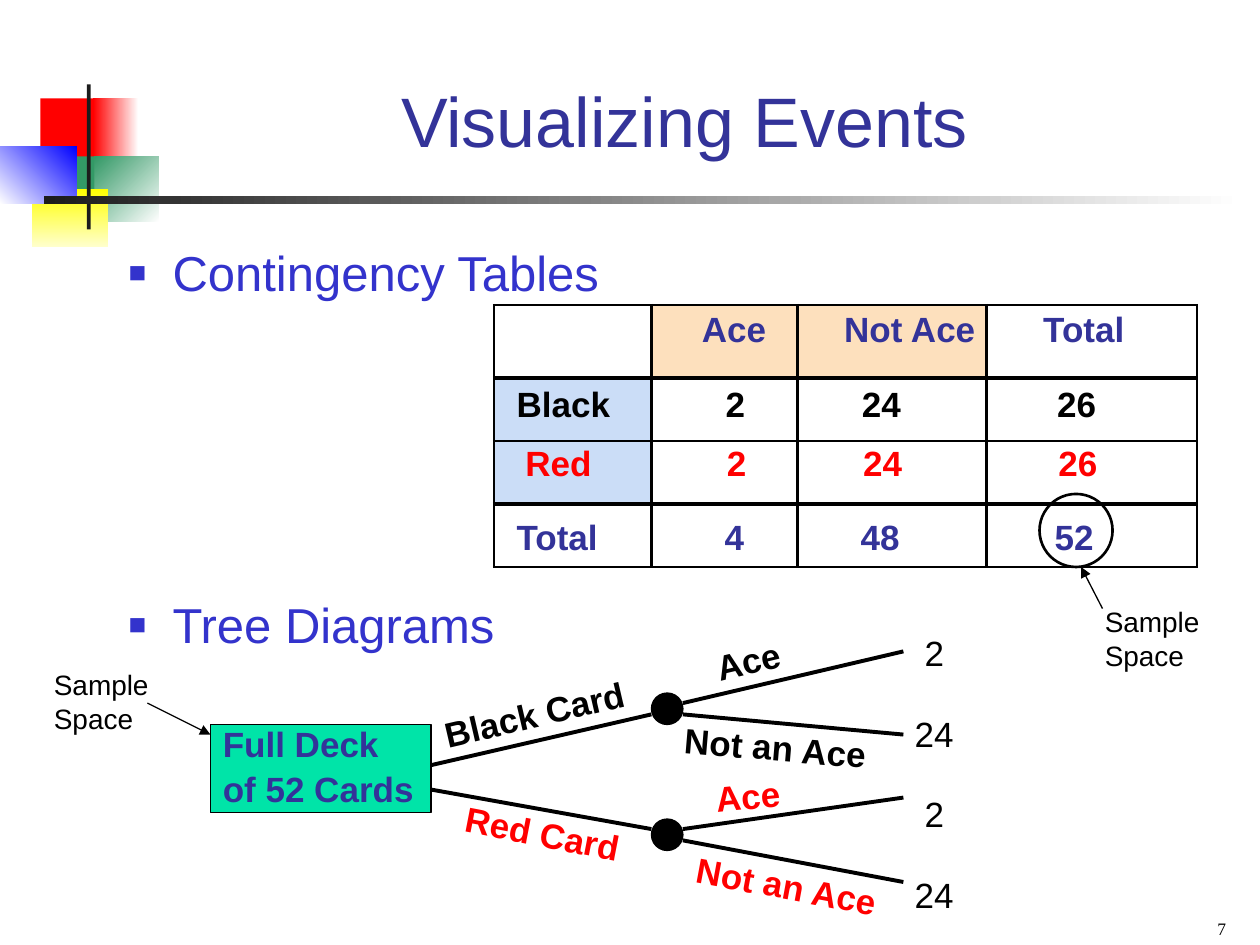
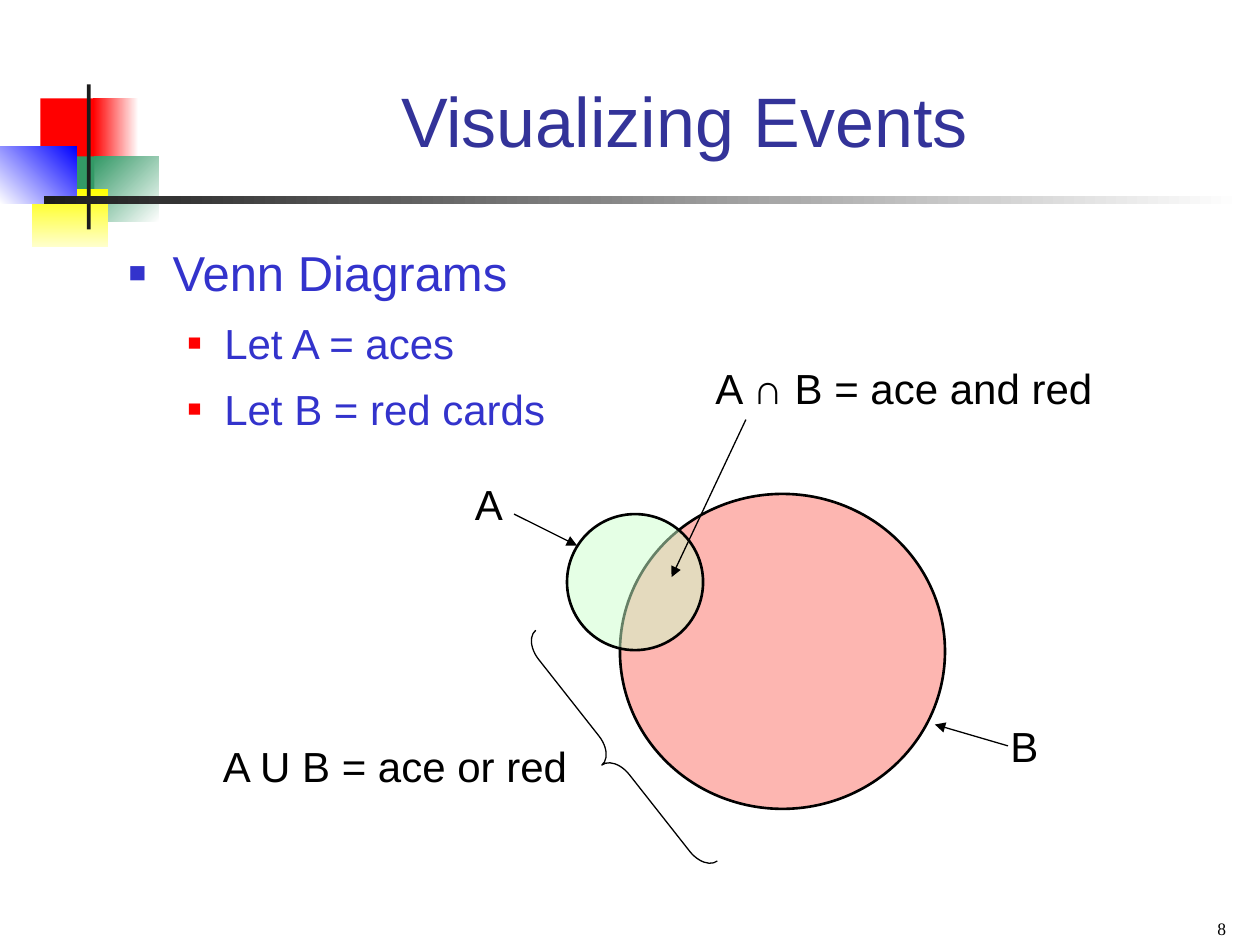
from itertools import pairwise

from lxml.etree import SubElement
from pptx import Presentation
from pptx.dml.color import RGBColor
from pptx.enum.shapes import MSO_CONNECTOR, MSO_SHAPE
from pptx.enum.text import MSO_ANCHOR, MSO_AUTO_SIZE, PP_ALIGN
from pptx.oxml.ns import qn
from pptx.util import Inches, Pt

COLORS = {
    "black": "000000", "white": "FFFFFF", "ink": "1C1C1C", "title": "333399",
    "body": "3333CC", "red": "FF0000", "green": "339966", "yellow": "FFFF00",
    "cream": "FFFFCC", "blue": "0000FF", "ace_head": "FDE0BD",
    "card_head": "CBDDF7", "deck": "00E4A8", "event_a": "CCFFCC",
    "event_b": "FDB6B1",
}
TITLE = "Visualizing Events"
TITLE_AREA = (1.17, 0.25, 8.52, 1.08)
BODY_AREA = (0.92, 1.83, 8.83, 4.96)
NUMBER_AREA = (7.5, 7.15, 2.33, 0.35)

# Corner ornament: area, colours (one solid, two graded), clockwise angle
ORNAMENT = [
    ((0.32, 0.78, 0.48, 0.52), ["red"], 0),
    ((0.74, 0.78, 0.36, 0.52), ["white", "red"], 180),
    ((0.75, 1.24, 0.51, 0.52), ["white", "green"], 225),
    ((0.43, 1.24, 0.32, 0.52), ["green"], 0),
    ((0.25, 1.5, 0.61, 0.46), ["yellow", "cream"], 90),
    ((0, 1.16, 0.61, 0.46), ["blue", "white"], 135),
    ((0.69, 0.67, 0.03, 1.15), ["ink"], 0),
    ((0.35, 1.56, 9.51, 0.06), ["white", "ink"], 180),
]

# Bullet levels: indent, hanging, bullet colour, bullet size, text size, space before
LEVELS = [(0.35, 0.35, "body", 60, 28, 7), (0.76, 0.29, "red", 55, 24, 6)]

# Bullets: text, level, space before (None takes the level's)
TABLE_TREE_BULLETS = [("Contingency Tables", 0, None), ("Tree Diagrams", 0, 164)]
VENN_BULLETS = [("Venn Diagrams", 0, None), ("Let A = aces", 1, None),
                ("Let B = red cards", 1, None)]

# Contingency table: texts, colours, text starts and top margin of each row
COUNTS = [
    (["", "Ace", "Not Ace", "Total"], "title", [4.1, 5.57, 6.7, 8.28], 0.05),
    (["Black", "2", "24", "26"], "black", [4.1, 5.76, 6.84, 8.39], 0.06),
    (["Red", "2", "24", "26"], "red", [4.17, 5.77, 6.85, 8.4], 0.03),
    (["Total", "4", "48", "52"], "title", [4.1, 5.75, 6.83, 8.37], 0.12),
]
COLUMN_EDGES = [3.92, 5.17, 6.33, 7.83, 9.5]
ROW_EDGES = [2.42, 3, 3.5, 4, 4.5]
COLUMN_RULES = [1.5, 2.25, 1.5, 2.25, 1.5]
ROW_RULES = [1.5, 2, 0.75, 2, 1.5]
HEAD_FILLS = {(0, 1): "ace_head", (0, 2): "ace_head",
              (1, 0): "card_head", (2, 0): "card_head"}

# Tree: branches, nodes, and labels with area, angle, colour, line spacing
BRANCHES = [
    ((3.39, 6.08), (5.17, 5.67)), ((3.33, 6.25), (5.17, 6.58)),
    ((5.42, 5.58), (7.17, 5.17)), ((5.42, 5.67), (7.17, 5.83)),
    ((5.42, 6.58), (7.17, 6.33)), ((5.42, 6.67), (7.17, 7)),
]
NODE_TOPS = [5.5, 6.5]
BRANCH_LABELS = [
    ("Black Card", (3.42, 5.5, 1.75, 0.36), -13.1, "black", 0.8),
    ("Red Card", (3.58, 6.5, 1.58, 0.33), 11.1, "red", 0.7),
    ("Ace", (5.58, 5, 0.92, 0.43), -13.5, "black", 1),
    ("Not an Ace", (5.33, 5.72, 1.83, 0.5), 4.8, "black", 1),
    ("Ace", (5.58, 6.08, 1.08, 0.43), -5.9, "red", 1),
    ("Not an Ace", (5.42, 6.83, 1.83, 0.43), 10.6, "red", 1),
]
DECK = ["Full Deck", "of 52 Cards"]
OUTCOMES = ["2", "24", "2", "24"]
SAMPLE_SPACES = [
    ((0.33, 5.25, 1, 0.63), (1.17, 5.58), (1.67, 5.83)),
    ((8.67, 4.75, 1, 0.63), (8.75, 4.83), (8.58, 4.5)),
]

# Venn: labels and arrows
VENN_LABELS = [
    ("A", (3.67, 3.75, 0.75, 0.5)),
    ("B", (7.92, 5.67, 0.75, 0.5)),
    ("A ∩ B = ace and red", (5.58, 2.83, 3.25, 0.5)),
    ("A U B = ace or red", (1.67, 5.83, 3.25, 0.5)),
]
VENN_ARROWS = [((8, 5.92), (7.42, 5.75)), ((4.08, 4.08), (4.58, 4.33)),
               ((5.92, 3.33), (5.33, 4.58))]


def rgb(name):
    return RGBColor.from_string(COLORS[name])


def inches(values):
    return [Inches(value) for value in values]


def place(item, area):
    item.left, item.top, item.width, item.height = inches(area)


def style(paragraph, size, color, bold=False, font="Arial"):
    for run in paragraph.runs:
        run.font.size, run.font.bold, run.font.name = Pt(size), bold, font
        run.font.color.rgb = rgb(color)


def write(frame, lines, size, color="black", bold=False, spacings=(1,),
          align=PP_ALIGN.LEFT, before=0, font="Arial"):
    frame.word_wrap = True
    frame.text = "\n".join(lines)
    for i, paragraph in enumerate(frame.paragraphs):
        paragraph.alignment = align
        paragraph.line_spacing = spacings[i % len(spacings)]
        if i:
            paragraph.space_before = Pt(before)
        style(paragraph, size, color, bold, font)


def add_label(slide, area, lines, size, angle=0, **look):
    label = slide.shapes.add_textbox(*inches(area))
    label.rotation = angle
    write(label.text_frame, lines, size, **look)
    return label


def add_figure(slide, kind, area, fill=None, line=None):
    figure = slide.shapes.add_shape(kind, *inches(area))
    figure.shadow.inherit = False
    if fill:
        figure.fill.solid()
        figure.fill.fore_color.rgb = rgb(fill)
    else:
        figure.fill.background()
    if line:
        figure.line.color.rgb = rgb("black")
        figure.line.width = Pt(line)
    else:
        figure.line.fill.background()
    return figure


def add_line(slide, start, end, width, arrow=False):
    line = slide.shapes.add_connector(MSO_CONNECTOR.STRAIGHT, *inches(start + end))
    line.line.color.rgb = rgb("black")
    line.line.width = Pt(width)
    if arrow:
        SubElement(line.line._get_or_add_ln(), qn("a:tailEnd"), type="triangle")
    SubElement(line._element.spPr, qn("a:effectLst"))


def prepare_layout(layout, slide):
    """Put title area, body area and corner ornament on the shared layout."""
    for holder in list(layout.placeholders):
        index = holder.placeholder_format.idx
        if index > 1:
            holder.element.getparent().remove(holder.element)
        else:
            place(holder, BODY_AREA if index else TITLE_AREA)
    for area, names, angle in ORNAMENT:
        block = add_figure(slide, MSO_SHAPE.RECTANGLE, area, names[0])
        if len(names) == 2:
            block.fill.gradient()
            block.fill.gradient_angle = 360 - angle
            for stop, name in zip(block.fill.gradient_stops, names):
                stop.color.rgb = rgb(name)
        layout.shapes.element.append(block.element)


def fill_frame(slide, bullets, number):
    """Write the title, the bullet list and the slide number."""
    title = slide.shapes.title.text_frame
    write(title, [TITLE], 40, "title", spacings=(1.1,), align=PP_ALIGN.CENTER)
    title.vertical_anchor = MSO_ANCHOR.BOTTOM
    title.auto_size = MSO_AUTO_SIZE.NONE

    body = slide.placeholders[1].text_frame
    body.auto_size = MSO_AUTO_SIZE.NONE
    body.text = "\n".join(text for text, _, _ in bullets)
    for i, (paragraph, (_, level, gap)) in enumerate(zip(body.paragraphs, bullets)):
        indent, hanging, bullet_color, bullet_size, size, before = LEVELS[level]
        props = paragraph._p.get_or_add_pPr()
        props.set("marL", str(Inches(indent)))
        props.set("indent", str(-Inches(hanging)))
        tint = SubElement(props, qn("a:buClr"))
        SubElement(tint, qn("a:srgbClr"), val=COLORS[bullet_color])
        SubElement(props, qn("a:buSzPct"), val=str(bullet_size * 1000))
        SubElement(props, qn("a:buFont"), typeface="Arial")
        SubElement(props, qn("a:buChar"), char="■")
        paragraph.level = level
        paragraph.line_spacing = 1.1
        paragraph.space_before = Pt((gap or before) if i else 0)
        style(paragraph, size, "body")

    page = add_label(slide, NUMBER_AREA, [str(number)], 10,
                     align=PP_ALIGN.RIGHT, font="Times New Roman")
    page.text_frame.vertical_anchor = MSO_ANCHOR.BOTTOM


def add_counts(slide):
    """Contingency table with ruled cells."""
    left, top = COLUMN_EDGES[0], ROW_EDGES[0]
    area = (left, top, COLUMN_EDGES[-1] - left, ROW_EDGES[-1] - top)
    table = slide.shapes.add_table(len(COUNTS), 4, *inches(area)).table
    table.first_row = table.horz_banding = False
    for column, (start, end) in zip(table.columns, pairwise(COLUMN_EDGES)):
        column.width = Inches(end - start)
    for row, (start, end) in zip(table.rows, pairwise(ROW_EDGES)):
        row.height = Inches(end - start)
    for r, (texts, color, starts, margin_top) in enumerate(COUNTS):
        for c, text in enumerate(texts):
            cell = table.cell(r, c)
            cell.margin_left = Inches(starts[c] - COLUMN_EDGES[c])
            cell.margin_top = Inches(margin_top)
            cell.margin_right = cell.margin_bottom = 0
            cell.text = text
            style(cell.text_frame.paragraphs[0], 20, color, bold=True)
            rules = {"lnL": COLUMN_RULES[c], "lnR": COLUMN_RULES[c + 1],
                     "lnT": ROW_RULES[r], "lnB": ROW_RULES[r + 1]}
            for side, width in rules.items():
                rule = SubElement(cell._tc.get_or_add_tcPr(), qn(f"a:{side}"),
                                  w=str(Pt(width)))
                paint = SubElement(rule, qn("a:solidFill"))
                SubElement(paint, qn("a:srgbClr"), val=COLORS["black"])
            if (r, c) in HEAD_FILLS:
                cell.fill.solid()
                cell.fill.fore_color.rgb = rgb(HEAD_FILLS[r, c])
            else:
                cell.fill.background()


def add_tree(slide):
    """Tree diagram, outcomes and the two sample space notes."""
    for start, end in BRANCHES:
        add_line(slide, start, end, 2.25)
    deck = add_figure(slide, MSO_SHAPE.RECTANGLE, (1.67, 5.75, 1.75, 0.7), "deck", 1)
    deck.text_frame.vertical_anchor = MSO_ANCHOR.TOP
    write(deck.text_frame, DECK, 20, "title", True, (0.8, 0.5), before=12.5)
    for text, area, angle, color, spacing in BRANCH_LABELS:
        add_label(slide, area, [text], 20, angle, color=color, bold=True,
                  spacings=(spacing,))
    for top in NODE_TOPS:
        add_figure(slide, MSO_SHAPE.OVAL, (5.17, top, 0.25, 0.25), "black", 0.75)
    add_label(slide, (7.08, 4.83, 0.67, 2.48), OUTCOMES, 20, spacings=(1.4,),
              align=PP_ALIGN.CENTER, before=12.5)
    add_figure(slide, MSO_SHAPE.OVAL, (8.25, 3.92, 0.58, 0.58), line=1.5)
    for area, start, end in SAMPLE_SPACES:
        add_label(slide, area, ["Sample Space"], 16)
        add_line(slide, start, end, 0.75, arrow=True)


def add_venn(slide):
    """Overlapping events with labels, arrows and a brace for the union."""
    add_figure(slide, MSO_SHAPE.OVAL, (4.92, 3.92, 2.58, 2.5), "event_b", 1.5)
    aces = add_figure(slide, MSO_SHAPE.OVAL, (4.5, 4.08, 1.08, 1.08), "event_a", 1.5)
    tint = aces.element.spPr.find(qn("a:solidFill")).find(qn("a:srgbClr"))
    SubElement(tint, qn("a:alpha"), val="50000")
    for text, area in VENN_LABELS:
        add_label(slide, area, [text], 24)
    for start, end in VENN_ARROWS:
        add_line(slide, start, end, 0.75, arrow=True)
    union = add_figure(slide, MSO_SHAPE.LEFT_BRACE, (4.75, 4.83, 0.25, 2.33), line=0.75)
    union.adjustments[0] = 0.78
    union.rotation = -38.2


def main():
    prs = Presentation()
    prs.slide_width, prs.slide_height = Inches(10), Inches(7.5)
    layout = prs.slide_layouts[1]

    tables_and_trees = prs.slides.add_slide(layout)
    prepare_layout(layout, tables_and_trees)
    fill_frame(tables_and_trees, TABLE_TREE_BULLETS, 7)
    add_counts(tables_and_trees)
    add_tree(tables_and_trees)

    venn = prs.slides.add_slide(layout)
    fill_frame(venn, VENN_BULLETS, 8)
    add_venn(venn)
    prs.save("out.pptx")


if __name__ == "__main__":
    main()
